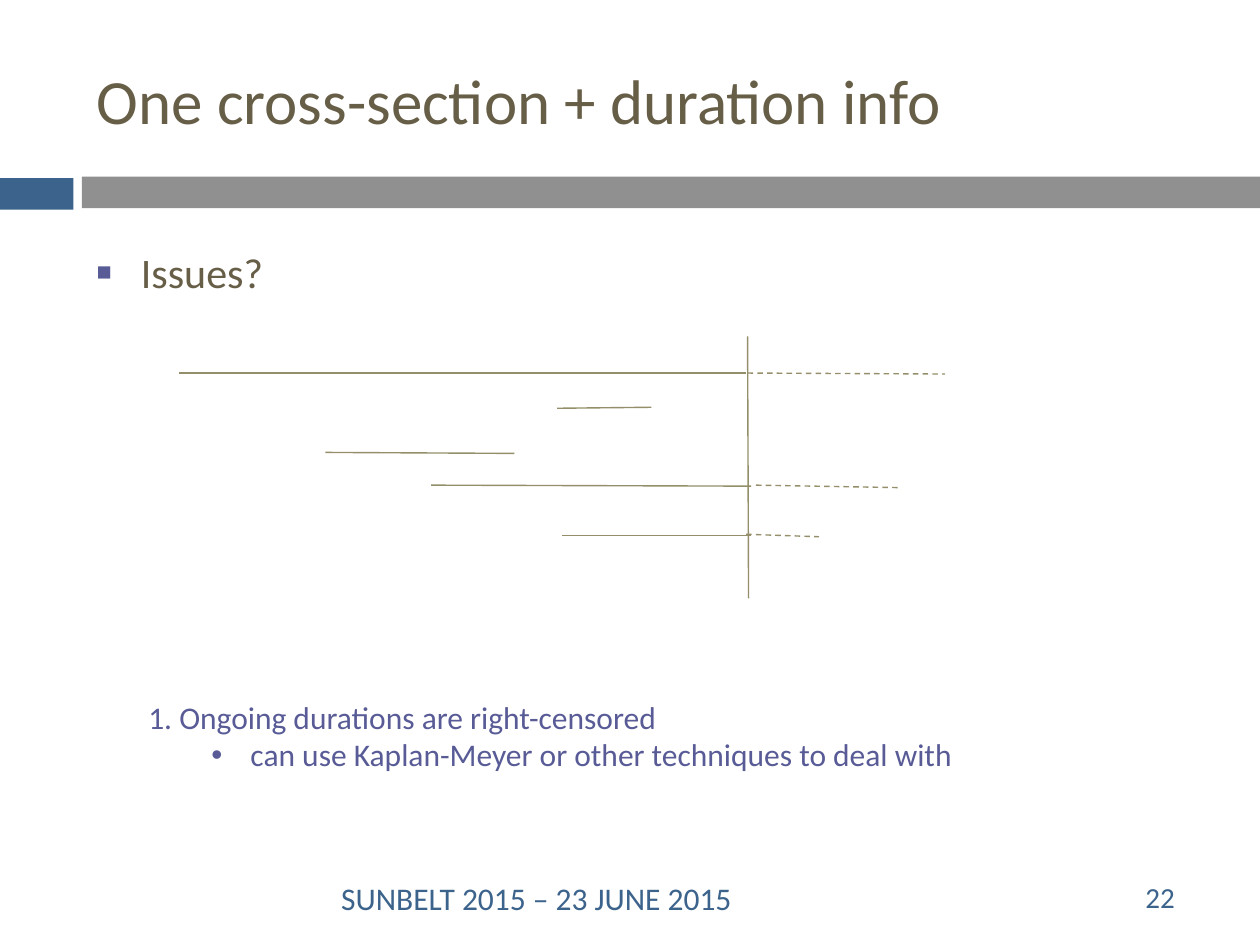
from dataclasses import dataclass
from typing import NamedTuple

from lxml import etree
from pptx import Presentation
from pptx.dml.color import RGBColor
from pptx.enum.dml import MSO_LINE
from pptx.enum.shapes import MSO_CONNECTOR, MSO_SHAPE
from pptx.enum.text import MSO_ANCHOR, PP_ALIGN
from pptx.oxml.ns import qn
from pptx.util import Cm, Pt

RECTANGLE = MSO_SHAPE.RECTANGLE
STRAIGHT = MSO_CONNECTOR.STRAIGHT
DASH = MSO_LINE.DASH
MIDDLE = MSO_ANCHOR.MIDDLE
LEFT = PP_ALIGN.LEFT
TITLE_ONLY = 5


@dataclass(frozen=True)
class Theme:
    font: str = "Calibri"
    brown: str = "675E47"
    purple: str = "585B96"
    blue: str = "3C638B"
    grey: str = "909090"
    olive: str = "948F6A"
    title_size: float = 36
    body_size: float = 24
    note_size: float = 18
    number_size: float = 16.6
    line_width: float = 0.79


THEME = Theme()


class Box(NamedTuple):
    """Position and size in centimetres."""
    left: float
    top: float
    width: float
    height: float

    def lengths(self):
        return [Cm(value) for value in self]


# Start x, start y, end x, end y, in centimetres from the diagram's corner
CROSS_SECTION = (11.46, 0, 11.48, 5.28)
OBSERVED_SPELLS = [
    (0, 0.74, 11.43, 0.74),
    (7.62, 1.45, 9.52, 1.43),
    (2.95, 2.34, 6.76, 2.36),
    (5.08, 3.0, 11.53, 3.02),
    (7.72, 4.01, 11.53, 4.01),
]
CENSORED_SPELLS = [
    (11.46, 0.74, 15.44, 0.76),
    (11.63, 3.0, 14.53, 3.05),
    (11.43, 3.99, 12.9, 4.04),
]


def style_paragraph(para, size, color):
    para.alignment = LEFT
    for span in para.runs:
        span.font.name = THEME.font
        span.font.size = Pt(size)
        span.font.color.rgb = RGBColor.from_string(color)


def add_bullet(para, symbol, margin, hanging, color=None, percent=None):
    properties = para._p.get_or_add_pPr()
    properties.set("marL", str(Cm(margin)))
    properties.set("indent", str(-Cm(hanging)))
    if color:
        holder = etree.SubElement(properties, qn("a:buClr"))
        etree.SubElement(holder, qn("a:srgbClr"), val=color)
    if percent:
        etree.SubElement(properties, qn("a:buSzPct"), val=str(percent * 1000))
    etree.SubElement(properties, qn("a:buFont"), typeface="Arial")
    etree.SubElement(properties, qn("a:buChar"), char=symbol)


def add_text(page, box, lines, size, color):
    """Add a text box and return its paragraphs."""
    frame = page.shapes.add_textbox(*box.lengths()).text_frame
    frame.word_wrap = True
    frame.text = "\n".join(lines)
    for para in frame.paragraphs:
        style_paragraph(para, size, color)
    return frame.paragraphs


def place_title(page, box, text):
    title = page.shapes.title
    title.left, title.top, title.width, title.height = box.lengths()
    title.text_frame.text = text
    title.text_frame.vertical_anchor = MIDDLE
    style_paragraph(title.text_frame.paragraphs[0], THEME.title_size, THEME.brown)


def add_band(page, box):
    tab, gap, drop = 1.48, 0.17, 0.03
    bars = [
        (Box(box.left, box.top + drop, tab, box.height), THEME.blue),
        (Box(box.left + tab + gap, box.top, box.width - tab - gap, box.height),
         THEME.grey),
    ]
    for place, color in bars:
        bar = page.shapes.add_shape(RECTANGLE, *place.lengths())
        bar.shadow.inherit = False
        bar.fill.solid()
        bar.fill.fore_color.rgb = RGBColor.from_string(color)
        bar.line.fill.background()


def add_issues(page, box):
    para = add_text(page, box, ["Issues?"], THEME.body_size, THEME.brown)[0]
    para.space_after = Pt(6)
    add_bullet(para, "■", 0.89, 0.89, THEME.purple, 60)


def add_line(page, box, points, dash=None):
    x1, y1, x2, y2 = points
    line = page.shapes.add_connector(
        STRAIGHT, Cm(box.left + x1), Cm(box.top + y1),
        Cm(box.left + x2), Cm(box.top + y2))
    line.line.color.rgb = RGBColor.from_string(THEME.olive)
    line.line.width = Pt(THEME.line_width)
    if dash:
        line.line.dash_style = dash
    etree.SubElement(line._element.spPr, qn("a:effectLst"))


def add_spell_diagram(page, box):
    for points in [CROSS_SECTION, *OBSERVED_SPELLS]:
        add_line(page, box, points)
    for points in CENSORED_SPELLS:
        add_line(page, box, points, DASH)


def add_censoring_note(page, box):
    lines = ["1. Ongoing durations are right-censored",
             "can use Kaplan-Meyer or other techniques to deal with"]
    detail = add_text(page, box, lines, THEME.note_size, THEME.purple)[1]
    detail.level = 1
    add_bullet(detail, "•", 2.06, 0.79)


def add_footer(page, box):
    number_offset, number_width = 16.21, 1.47
    event = Box(box.left, box.top, 12.04, box.height)
    number = Box(box.left + number_offset, box.top, number_width, 0.69)
    add_text(page, event, ["SUNBELT 2015 – 23 JUNE 2015"],
             THEME.note_size, THEME.blue)
    add_text(page, number, ["22"], THEME.number_size, THEME.blue)


def main():
    deck = Presentation()
    deck.slide_width, deck.slide_height = Cm(25.4), Cm(19.05)
    page = deck.slides.add_slide(deck.slide_layouts[TITLE_ONLY])
    add_band(page, Box(0, 3.56, 25.4, 0.64))
    place_title(page, Box(1.7, 0.64, 22.66, 2.74),
                "One cross-section + duration info")
    add_issues(page, Box(1.7, 4.85, 22.66, 12.09))
    add_spell_diagram(page, Box(3.61, 6.78, 15.44, 5.28))
    add_censoring_note(page, Box(2.74, 13.94, 21.16, 1.8))
    add_footer(page, Box(6.63, 17.6, 17.68, 1.02))
    deck.save("out.pptx")


if __name__ == "__main__":
    main()
